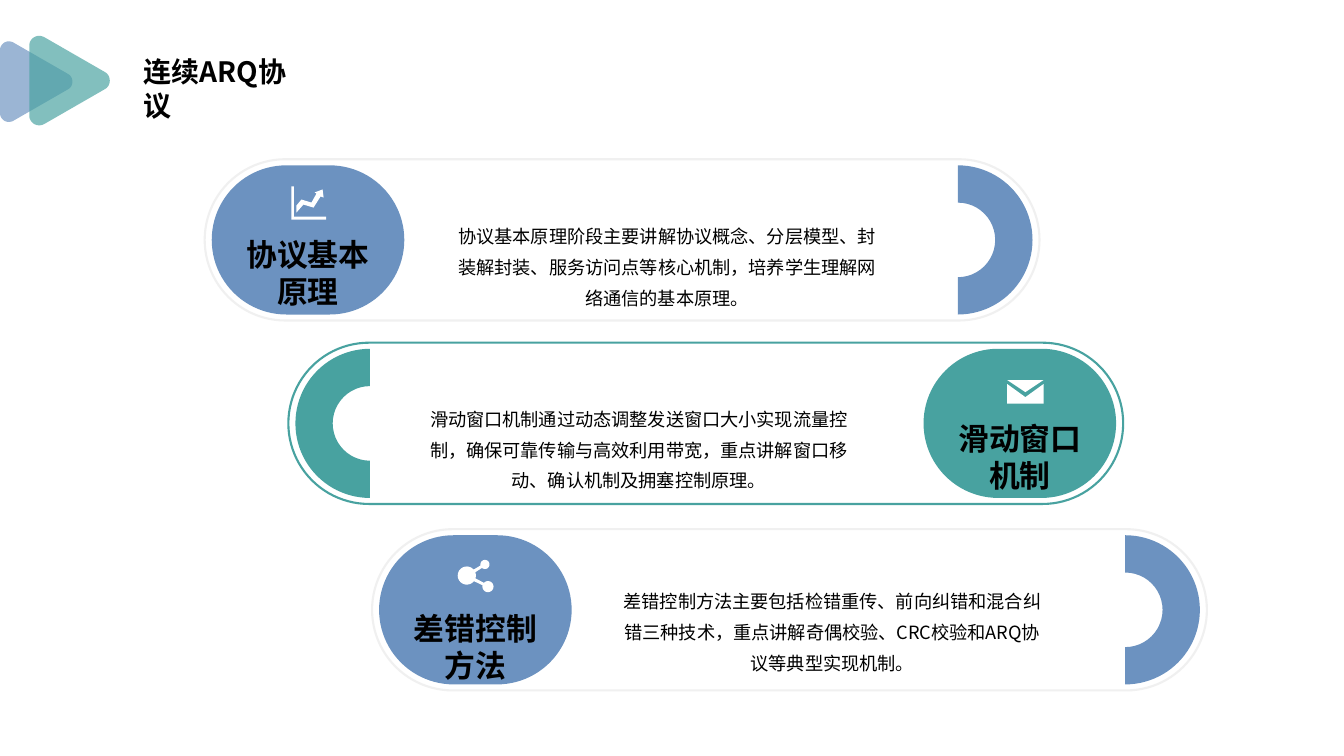
from math import cos, radians, sin

from lxml import etree
from pptx import Presentation
from pptx.dml.color import RGBColor
from pptx.enum.shapes import MSO_SHAPE
from pptx.enum.text import MSO_ANCHOR, MSO_AUTO_SIZE, PP_ALIGN
from pptx.oxml.ns import qn
from pptx.util import Inches, Pt

PILL, ARC = MSO_SHAPE.ROUNDED_RECTANGLE, MSO_SHAPE.BLOCK_ARC
LEFT, CENTER = PP_ALIGN.LEFT, PP_ALIGN.CENTER
TOP, GROW = MSO_ANCHOR.TOP, MSO_AUTO_SIZE.SHAPE_TO_FIT_TEXT

FONT = "Noto Sans CJK SC"
BLUE, TEAL, GRAY, WHITE, BLACK = "6C92C0", "48A2A0", "F0F0F0", "FFFFFF", "000000"

CELL = Inches(1)  # the grid has columns and rows of one inch
COLS, ROWS = 13.33, 7.5
BAR_W, BAR_H = 8.28, 1.6
CAP_W, CAP_H = 1.91, 1.48
GAP_X, GAP_Y = 0.07, (BAR_H - CAP_H) / 2
LABEL_W, LABEL_H = 1.34, 0.74
NOTE_W, NOTE_H = 4.25, 0.92
FIRST_X, STEP_X = 2.03, 0.83


def grid(*cells):
    return [int(cell * CELL) for cell in cells]


def color(code):
    return RGBColor.from_string(code)


def paint(shape, fill=None, line=None):
    shape.shadow.inherit = False
    if fill:
        shape.fill.solid()
        shape.fill.fore_color.rgb = color(fill)
    else:
        shape.fill.background()
    if line:
        shape.line.color.rgb = color(line)
        shape.line.width = Pt(1.5)
    else:
        shape.line.fill.background()


def pill(slide, x, y, w, h, fill=None, line=None):
    shape = slide.shapes.add_shape(PILL, *grid(x, y, w, h))
    shape.adjustments[0] = 0.5
    paint(shape, fill, line)


def half_ring(slide, x, y, turn, fill):
    shape = slide.shapes.add_shape(ARC, *grid(x, y, CAP_H, CAP_H))
    shape.rotation = turn
    paint(shape, fill)


def outline(slide, x, y, loops, fill, scale=0.01):
    """Draw closed loops of points, scaled and moved to (x, y), as one shape."""
    build = None
    for loop in loops:
        spots = [grid(x + a * scale, y + b * scale) for a, b in loop]
        if build is None:
            build = slide.shapes.build_freeform(*spots[0])
        else:
            build.move_to(*spots[0])
        build.add_line_segments(spots[1:], close=True)
    shape = build.convert_to_shape()
    paint(shape, fill)
    return shape


def curve(a, b, c, d, steps=12):
    """Return points along a cubic Bezier curve."""
    spots = []
    for i in range(steps + 1):
        t = i / steps
        u = 1 - t
        mix = (u**3, 3 * u * u * t, 3 * u * t * t, t**3)
        spots.append(tuple(sum(m * p[k] for m, p in zip(mix, (a, b, c, d)))
                           for k in (0, 1)))
    return spots


def arc(x, y, r, start, end, steps=24):
    """Return points on a circle between two angles in degrees."""
    turns = [radians(start + (end - start) * i / steps) for i in range(steps + 1)]
    return [(x + r * cos(t), y + r * sin(t)) for t in turns]


def triangle(slide, x, y, scale, fill):
    """Draw a see-through rounded triangle that points right."""
    upper = curve((15, -43), (8, -47), (0, -42), (0, -34.5))
    lower = [(a, -b) for a, b in reversed(upper)]
    tip = curve((75, 8.5), (81.5, 5), (81.5, -5), (75, -8.5))
    shape = outline(slide, x, y, [upper + lower + tip], fill, scale)
    tint = shape.fill._xPr.find(".//" + qn("a:srgbClr"))
    etree.SubElement(tint, qn("a:alpha"), val="68000")


def write(shape, text, size, pitch, bold=False, align=CENTER, inset=(0, 0)):
    """Fill a text shape; pitch is the line height in points."""
    frame = shape.text_frame
    frame.word_wrap = True
    frame.auto_size = GROW
    frame.vertical_anchor = TOP
    frame.margin_left = frame.margin_right = Inches(inset[0])
    frame.margin_top = frame.margin_bottom = Inches(inset[1])
    frame.text = text
    para = frame.paragraphs[0]
    para.alignment = align
    para.line_spacing = Pt(pitch)
    para.space_before = Pt(0)
    font = para.font
    font.size, font.bold, font.name = Pt(size), bold, FONT
    font.color.rgb = color(BLACK)
    props = para._p.pPr.find(qn("a:defRPr"))
    etree.SubElement(props, qn("a:ea"), typeface=FONT)


def heading(slide, text):
    title = slide.shapes.title
    title.left, title.top, title.width, title.height = grid(1.32, 0.49, 1.7, 0.77)
    write(title, text, 20, 24, True, LEFT, (0.1, 0.05))


def box(slide, x, y, w, h, text, size, pitch, bold=False):
    write(slide.shapes.add_textbox(*grid(x, y, w, h)), text, size, pitch, bold)


def band(slide, x, y, flip, fill, edge, icon, label, note):
    """Draw one bar; icon, label and note each carry their own offsets."""
    pill(slide, x, y, BAR_W, BAR_H, line=edge)
    near, top = x + GAP_X, y + GAP_Y
    far = x + BAR_W - GAP_X
    cap = far - CAP_W if flip else near
    pill(slide, cap, top, CAP_W, CAP_H, fill)
    half_ring(slide, near if flip else far - CAP_H, top, 270 if flip else 90, fill)
    dx, dy, loops = icon
    outline(slide, cap + dx, top + dy, loops, WHITE)
    dx, dy, text = note
    box(slide, x + dx, y + dy, NOTE_W, NOTE_H, text, 13, 22)
    dy, text = label
    box(slide, cap + (CAP_W - LABEL_W) / 2, top + dy, LABEL_W, LABEL_H,
        text, 22, 26.4, True)


def main():
    deck = Presentation()
    deck.slide_width, deck.slide_height = grid(COLS, ROWS)
    slide = deck.slides.add_slide(deck.slide_layouts[5])
    heading(slide, "连续ARQ协议")
    triangle(slide, 0, 0.81, 0.009, BLUE)
    triangle(slide, 0.29, 0.8, 0.01, TEAL)

    chart = [
        [(31, 3), (32, 11), (29, 10), (22, 21), (12, 18), (5, 26),
         (5, 19), (10, 13), (20, 16), (25, 7), (23, 6)],
        [(0, 0), (2.5, 0), (2.5, 30), (34.5, 30), (34.5, 33), (0, 33)],
    ]
    mail = [
        [(0, 0), (36, 0), (18, 12)],
        [(0, 4), (18, 17), (36, 4), (36, 23.5), (0, 23.5)],
    ]
    share = [arc(9, 15, 9, 38, 319) + arc(27, 4, 4.5, 167, 491)
             + arc(9, 15, 9, -21, 18) + arc(30, 26, 5.5, 223, 553)]
    bands = [
        (1.58, False, BLUE, GRAY, (0.79, 0.21, chart), (0.7, "协议基本原理"),
         (2.46, 0.57, "协议基本原理阶段主要讲解协议概念、分层模型、封装解封装、"
          "服务访问点等核心机制，培养学生理解网络通信的基本原理。")),
        (3.4, True, TEAL, TEAL, (0.83, 0.31, mail), (0.7, "滑动窗口机制"),
         (1.35, 0.56, "滑动窗口机制通过动态调整发送窗口大小实现流量控制，"
          "确保可靠传输与高效利用带宽，重点讲解窗口移动、确认机制及拥塞控制原理。")),
        (5.25, False, BLUE, GRAY, (0.78, 0.25, share), (0.74, "差错控制方法"),
         (2.44, 0.52, "差错控制方法主要包括检错重传、前向纠错和混合纠错三种技术，"
          "重点讲解奇偶校验、CRC校验和ARQ协议等典型实现机制。")),
    ]
    for i, (y, *parts) in enumerate(bands):
        band(slide, FIRST_X + i * STEP_X, y, *parts)
    deck.save("out.pptx")


if __name__ == "__main__":
    main()
